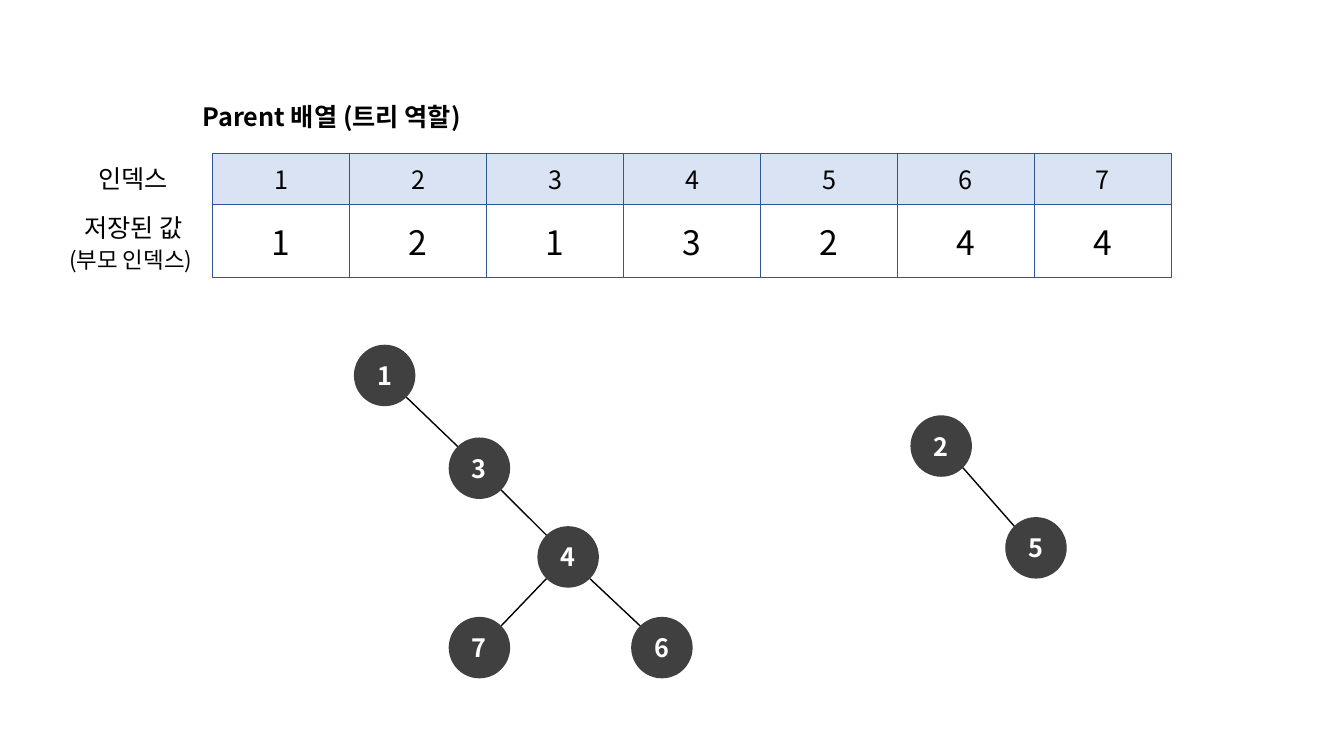
from math import copysign, sqrt

from lxml.etree import SubElement
from pptx import Presentation
from pptx.dml.color import RGBColor
from pptx.enum.shapes import MSO_CONNECTOR, MSO_SHAPE
from pptx.enum.text import MSO_ANCHOR, PP_ALIGN
from pptx.oxml import parse_xml
from pptx.oxml.ns import nsdecls, qn
from pptx.util import Inches, Pt

FONT = "Noto Sans CJK KR"
INK, WHITE, NODE, HEADER, BORDER = "000000", "FFFFFF", "404040", "DAE3F3", "2F5597"


def rgb(color):
    return RGBColor.from_string(color)


def add_run(paragraph, text, size, color=INK, bold=False, align=PP_ALIGN.CENTER):
    """Add a styled run, with the font set for Latin and Korean letters alike."""
    paragraph.alignment = align
    run = paragraph.add_run()
    run.text = text
    run.font.size = Pt(size)
    run.font.bold = bold
    run.font.name = FONT
    run.font.color.rgb = rgb(color)
    SubElement(run.font._element, qn("a:ea")).set("typeface", FONT)


prs = Presentation()
prs.slide_width, prs.slide_height = Inches(13.33), Inches(7.5)
slide = prs.slides.add_slide(prs.slide_layouts[6])
shapes = slide.shapes

parents = {1: 1, 2: 2, 3: 1, 4: 3, 5: 2, 6: 4, 7: 4}

# Trees: left and top of each node
node_size = 0.61
nodes = {1: (3.51, 3.42), 3: (4.45, 4.34), 4: (5.33, 5.22), 6: (6.26, 6.12),
         7: (4.45, 6.12), 2: (9.03, 4.12), 5: (9.97, 5.13)}
for index, (left, top) in nodes.items():
    node = shapes.add_shape(MSO_SHAPE.OVAL, Inches(left), Inches(top),
                            Inches(node_size), Inches(node_size))
    node.shadow.inherit = False
    node.fill.solid()
    node.fill.fore_color.rgb = rgb(NODE)
    node.line.fill.background()
    node.text_frame.vertical_anchor = MSO_ANCHOR.MIDDLE
    add_run(node.text_frame.paragraphs[0], str(index), 18, WHITE, bold=True)

# Each edge runs between the diagonal points of two circles
center = node_size / 2
diagonal = center / sqrt(2)
for child, parent in parents.items():
    if child == parent:
        continue
    (px, py), (cx, cy) = nodes[parent], nodes[child]
    sideways = copysign(diagonal, cx - px)
    edge = shapes.add_connector(
        MSO_CONNECTOR.STRAIGHT,
        Inches(px + center + sideways), Inches(py + center + diagonal),
        Inches(cx + center - sideways), Inches(cy + center - diagonal))
    edge.line.color.rgb = rgb(INK)
    edge.line.width = Pt(1)
    SubElement(edge._element.spPr, qn("a:effectLst"))

# Parent array
array = shapes.add_table(2, len(parents), Inches(2.11), Inches(1.52),
                         Inches(9.51), Inches(1.23)).table
array_rows = [(parents.keys(), 0.51, 18, HEADER), (parents.values(), 0.72, 24, WHITE)]
for row, (values, height, size, fill) in enumerate(array_rows):
    array.rows[row].height = Inches(height)
    for column, value in enumerate(values):
        cell = array.cell(row, column)
        cell.vertical_anchor = MSO_ANCHOR.MIDDLE
        cell.fill.solid()
        cell.fill.fore_color.rgb = rgb(fill)
        add_run(cell.text_frame.paragraphs[0], str(value), size)
        cell_properties = cell._tc.get_or_add_tcPr()
        for position, side in enumerate(("lnL", "lnR", "lnT", "lnB")):
            cell_properties.insert(position, parse_xml(
                f'<a:{side} {nsdecls("a")} w="{Pt(0.75)}"><a:solidFill>'
                f'<a:srgbClr val="{BORDER}"/></a:solidFill></a:{side}>'))

# Captions: box, alignment, bold, then the runs of each paragraph
captions = [
    ((0.71, 1.57, 1.22, 0.4), PP_ALIGN.CENTER, False, [[("인덱스", 18)]]),
    ((0.53, 2.06, 1.59, 0.71), PP_ALIGN.CENTER, False,
     [[("저장된 값", 18)], [("(부모 인덱스)", 16), (" ", 18)]]),
    ((1.91, 0.96, 3.4, 0.71), PP_ALIGN.LEFT, True, [[("Parent 배열 (트리 역할)", 18)]]),
]
for box, align, bold, lines in captions:
    frame = shapes.add_textbox(*map(Inches, box)).text_frame
    frame.word_wrap = True
    for number, runs in enumerate(lines):
        paragraph = frame.add_paragraph() if number else frame.paragraphs[0]
        for text, size in runs:
            add_run(paragraph, text, size, bold=bold, align=align)

prs.save("out.pptx")
